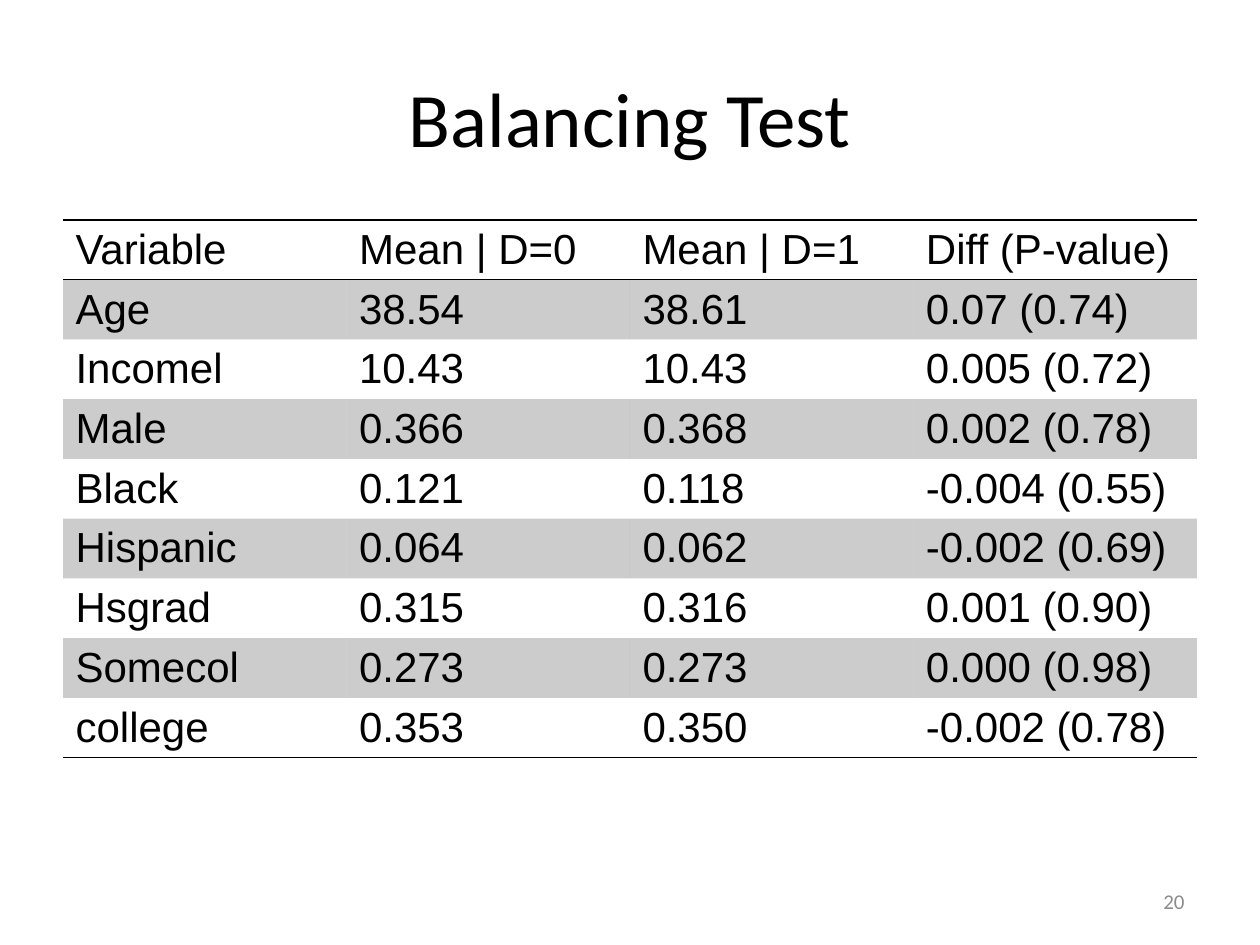
from dataclasses import dataclass

from lxml import etree
from pptx import Presentation
from pptx import util as u
from pptx.dml.color import RGBColor
from pptx.enum import text
from pptx.oxml import ns

EMU_PER_PX = 914400 // 126
NO_STYLE_TABLE = "{2D5ABB26-0587-4C30-8999-92F81FD0307C}"


@dataclass(frozen=True)
class Theme:
    ink: str = "000000"
    muted: str = "8C8C8C"
    band_alpha: int = 20
    rule_width: float = 1
    heading_font: str = "Calibri"
    table_font: str = "Arial"
    title_size: int = 44
    table_size: int = 24
    number_size: int = 12


THEME = Theme()

BALANCE_ROWS = [
    ("Variable", "Mean | D=0", "Mean | D=1", "Diff (P-value)"),
    ("Age", "38.54", "38.61", "0.07 (0.74)"),
    ("Incomel", "10.43", "10.43", "0.005 (0.72)"),
    ("Male", "0.366", "0.368", "0.002 (0.78)"),
    ("Black", "0.121", "0.118", "-0.004 (0.55)"),
    ("Hispanic", "0.064", "0.062", "-0.002 (0.69)"),
    ("Hsgrad", "0.315", "0.316", "0.001 (0.90)"),
    ("Somecol", "0.273", "0.273", "0.000 (0.98)"),
    ("college", "0.353", "0.350", "-0.002 (0.78)"),
]


def px(length):
    return u.Emu(length * EMU_PER_PX)


def set_attributes(target, values):
    for name, value in values.items():
        setattr(target, name, value)


def write_text(paragraph, content, font_name, size, color):
    run = paragraph.add_run()
    run.text = content
    set_attributes(run.font, {"name": font_name, "size": u.Pt(size), "bold": False})
    run.font.color.rgb = RGBColor.from_string(color)


def add_label(slide, box, content, size, color, alignment):
    shape = slide.shapes.add_textbox(*map(px, box))
    frame = shape.text_frame
    set_attributes(frame, {"word_wrap": True, "vertical_anchor": text.MSO_ANCHOR.MIDDLE})
    paragraph = frame.paragraphs[0]
    paragraph.alignment = alignment
    write_text(paragraph, content, THEME.heading_font, size, color)


def add_rule(cell, side):
    """Draw a cell border; rules come before the fill in the cell properties."""
    line = etree.SubElement(cell._tc.get_or_add_tcPr(), ns.qn(f"a:ln{side}"),
                            w=str(u.Pt(THEME.rule_width)))
    fill = etree.SubElement(line, ns.qn("a:solidFill"))
    etree.SubElement(fill, ns.qn("a:srgbClr"), val=THEME.ink)


def fill_band(cell):
    cell.fill.solid()
    cell.fill.fore_color.rgb = RGBColor.from_string(THEME.ink)
    color = cell._tc.tcPr.find(".//" + ns.qn("a:srgbClr"))
    etree.SubElement(color, ns.qn("a:alpha"), val=str(THEME.band_alpha * 1000))


def add_balance_table(slide, left, top, width, row_height, rows):
    row_count, column_count = len(rows), len(rows[0])
    frame = slide.shapes.add_table(
        row_count, column_count, px(left), px(top),
        px(width), px(row_height * row_count))
    table = frame.table
    set_attributes(table, {"first_row": False, "horz_banding": False})
    table._tbl.tblPr.find(ns.qn("a:tableStyleId")).text = NO_STYLE_TABLE

    # Rules frame the header and close the last row; odd rows are shaded
    sides = {0: "TB", row_count - 1: "B"}
    for row_index, row in enumerate(rows):
        for column_index, content in enumerate(row):
            cell = table.cell(row_index, column_index)
            cell.margin_bottom = px(3)
            write_text(cell.text_frame.paragraphs[0], content,
                       THEME.table_font, THEME.table_size, THEME.ink)
            if row_index % 2:
                fill_band(cell)
                continue
            for side in sides.get(row_index, ""):
                add_rule(cell, side)
            cell.fill.background()


def main():
    presentation = Presentation()
    set_attributes(presentation, {"slide_width": px(1260), "slide_height": px(945)})
    slide = presentation.slides.add_slide(presentation.slide_layouts[6])

    # Title
    add_label(slide, (63, 38, 1134, 157), "Balancing Test",
              THEME.title_size, THEME.ink, text.PP_ALIGN.CENTER)

    # Covariate means by treatment status
    add_balance_table(slide, left=63, top=220, width=1134,
                      row_height=52, rows=BALANCE_ROWS)

    # Slide number
    add_label(slide, (903, 876, 294, 50), "20",
              THEME.number_size, THEME.muted, text.PP_ALIGN.RIGHT)

    presentation.save("out.pptx")


if __name__ == "__main__":
    main()
